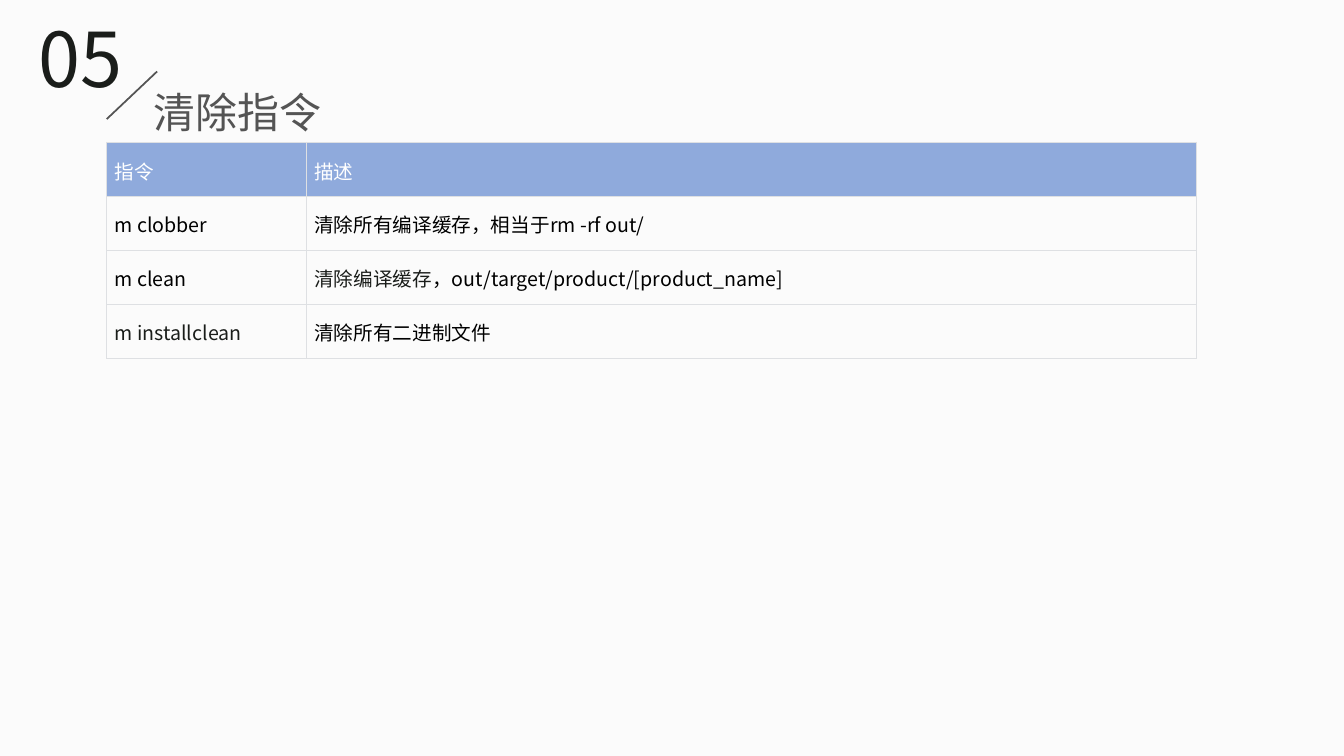
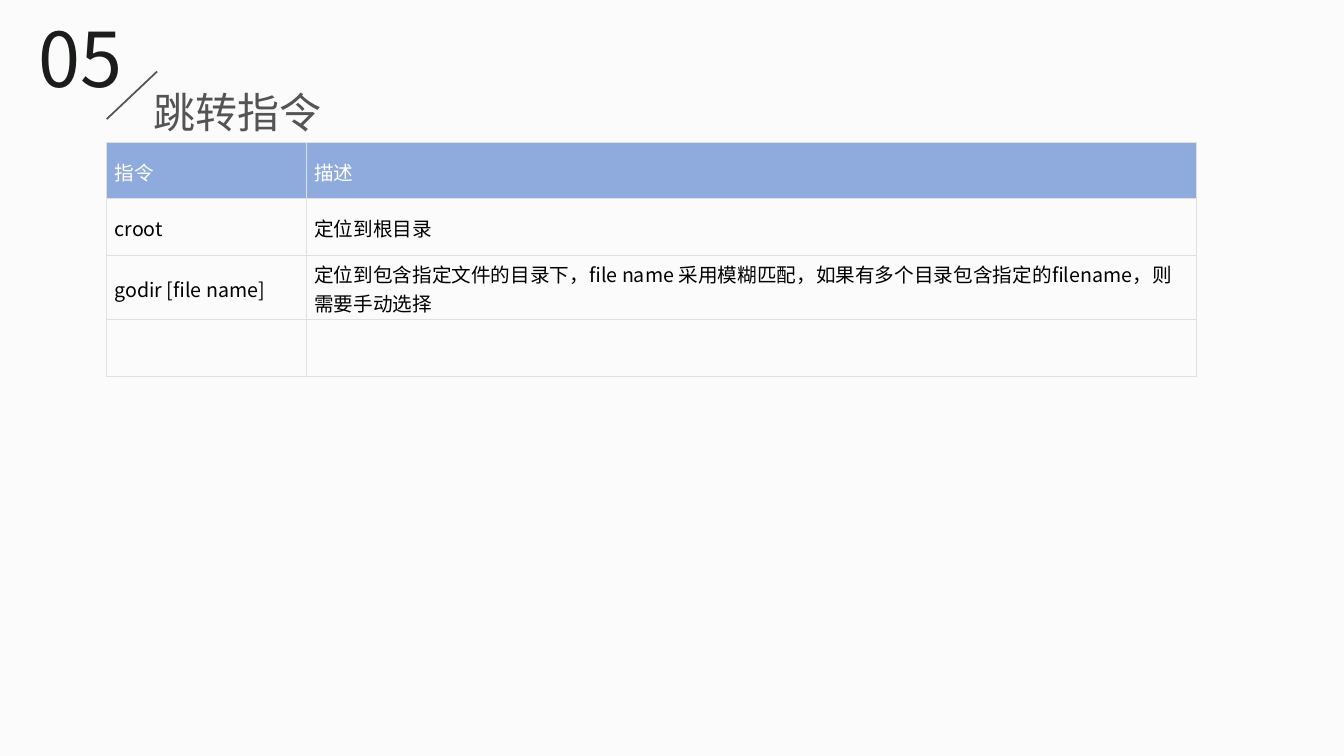
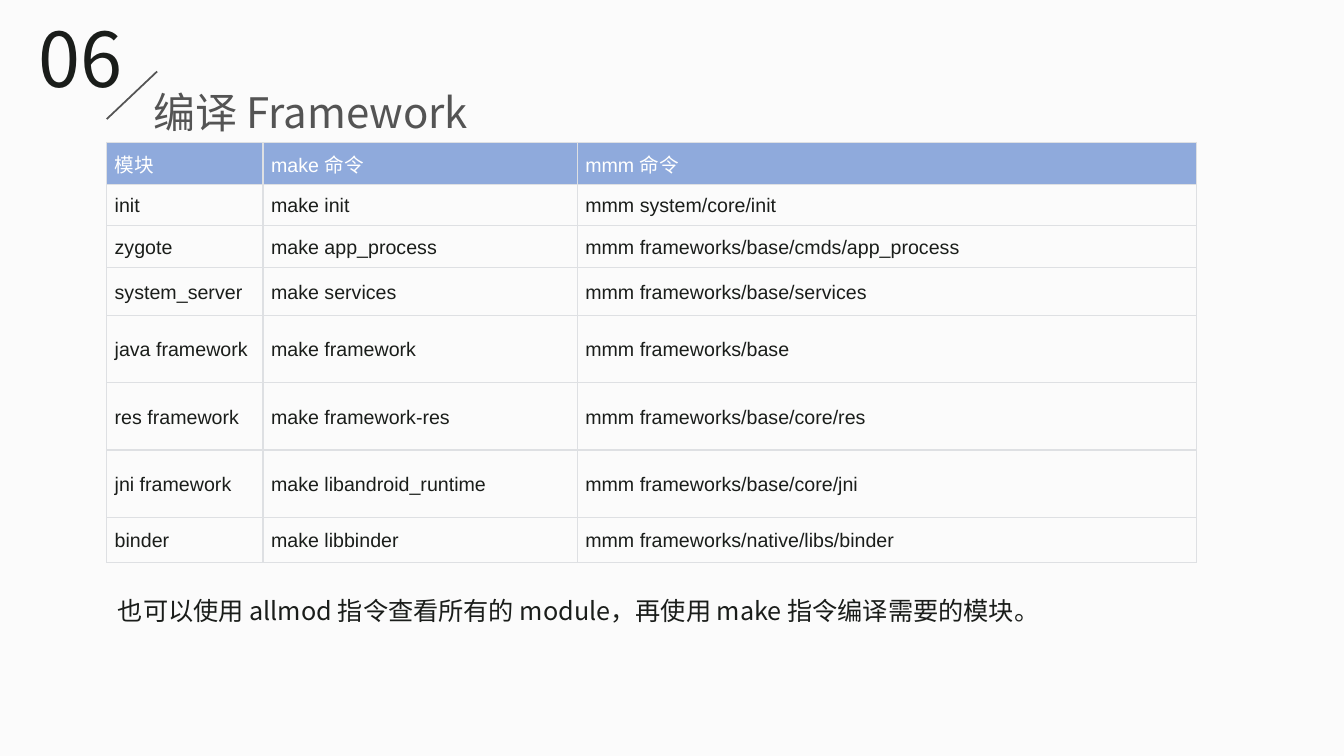
from dataclasses import dataclass
from typing import Any

from pptx import Presentation
from pptx import util as u
from pptx.dml.color import RGBColor
from pptx.enum import shapes, text
from pptx.oxml import ns, xmlchemy

COLORS = {
    "paper": "FBFBFB",
    "ink": "1A1D1A",
    "black": "000000",
    "white": "FFFFFF",
    "slate": "545454",
    "header": "8FAADC",
    "grid": "DEE0E3",
}
SANS = "Noto Sans CJK SC"
TABLE_LEFT, TABLE_TOP = 2.69, 3.59
BLANK_LAYOUT = 6
CELL_FORMAT = {
    "margin_left": u.Cm(0.2),
    "margin_right": u.Cm(0.2),
    "margin_top": u.Cm(0.1),
    "margin_bottom": u.Cm(0.05),
    "vertical_anchor": text.MSO_ANCHOR.MIDDLE,
}
TABLE_FORMAT = {"first_row": False, "horz_banding": False}


@dataclass(frozen=True)
class Span:
    words: str
    color: str


@dataclass(frozen=True)
class TextStyle:
    size: float
    color: str
    font: str = SANS


@dataclass(frozen=True)
class Box:
    left: float
    top: float
    width: float
    height: float

    def lengths(self) -> tuple[u.Length, ...]:
        return tuple(u.Cm(v) for v in (self.left, self.top, self.width, self.height))


@dataclass(frozen=True)
class CommandPage:
    number: str
    title: str
    columns: tuple[float, ...]
    row_heights: tuple[float, ...]
    rows: tuple[tuple[str | Span | tuple[Span, ...], ...], ...]
    body: TextStyle
    note: str = ""


NUMBER_STYLE = TextStyle(54, "ink")
TITLE_STYLE = TextStyle(30, "slate")
NOTE_STYLE = TextStyle(18, "ink")
NUMBER_BOX = Box(0.71, 0.18, 2.9, 2.57)
TITLE_BOX = Box(3.61, 1.8, 26.57, 1.8)
NOTE_BOX = Box(2.72, 14.73, 27.46, 1.98)
COMMAND_COLUMNS = (5.03, 22.43)

PAGES = (
    CommandPage(
        "05", "清除指令", COMMAND_COLUMNS, (1.36,) * 4,
        (
            ("指令", "描述"),
            ("m clobber", "清除所有编译缓存，相当于rm -rf out/"),
            ("m clean", (Span("清除编译缓存", "ink"),
                         Span("，out/target/product/[product_name]", "black"))),
            (Span("m installclean", "ink"), "清除所有二进制文件"),
        ),
        TextStyle(14, "black"),
    ),
    CommandPage(
        "05", "跳转指令", COMMAND_COLUMNS, (1.42, 1.42, 1.63, 1.42),
        (
            ("指令", "描述"),
            ("croot", "定位到根目录"),
            ("godir [file name]",
             "定位到包含指定文件的目录下，file name 采用模糊匹配，"
             "如果有多个目录包含指定的filename，则需要手动选择"),
            ("", ""),
        ),
        TextStyle(14, "black"),
    ),
    CommandPage(
        "06", "编译 Framework", (3.94, 7.92, 15.6),
        (1.05, 1.05, 1.05, 1.2, 1.7, 1.7, 1.7, 1.14),
        (
            ("模块", "make 命令", "mmm 命令"),
            ("init", "make init", "mmm system/core/init"),
            ("zygote", "make app_process", "mmm frameworks/base/cmds/app_process"),
            ("system_server", "make services", "mmm frameworks/base/services"),
            ("java framework", "make framework", "mmm frameworks/base"),
            ("res framework", "make framework-res", "mmm frameworks/base/core/res"),
            ("jni framework", "make libandroid_runtime", "mmm frameworks/base/core/jni"),
            ("binder", "make libbinder", "mmm frameworks/native/libs/binder"),
        ),
        TextStyle(14, "ink", "Arial"),
        "也可以使用 allmod 指令查看所有的 module，再使用 make 指令编译需要的模块。",
    ),
)


def rgb(name: str) -> RGBColor:
    return RGBColor.from_string(COLORS[name])


def apply_format(target: Any, values: dict[str, Any]) -> None:
    for attribute, value in values.items():
        setattr(target, attribute, value)


def add_child(parent: Any, tag: str, **attributes: str) -> Any:
    child = xmlchemy.OxmlElement(tag)
    for key, value in attributes.items():
        child.set(key, value)
    parent.append(child)
    return child


def write_span(paragraph: Any, span: Span, style: TextStyle) -> None:
    run = paragraph.add_run()
    run.text = span.words
    apply_format(run.font, {"size": u.Pt(style.size), "name": style.font})
    run.font.color.rgb = rgb(span.color)
    latin = run.font._element.find(ns.qn("a:latin"))
    east_asian = xmlchemy.OxmlElement("a:ea")
    east_asian.set("typeface", SANS)
    latin.addnext(east_asian)


def add_text(slide: Any, box: Box, words: str, style: TextStyle,
             frame_format: dict[str, Any], paragraph_format: dict[str, Any]) -> None:
    frame = slide.shapes.add_textbox(*box.lengths()).text_frame
    apply_format(frame, {"word_wrap": True, **frame_format})
    paragraph = frame.paragraphs[0]
    apply_format(paragraph, paragraph_format)
    write_span(paragraph, Span(words, style.color), style)


def add_heading(slide: Any, page: CommandPage) -> None:
    add_text(slide, NUMBER_BOX, page.number, NUMBER_STYLE,
             {"auto_size": text.MSO_AUTO_SIZE.SHAPE_TO_FIT_TEXT},
             {"alignment": text.PP_ALIGN.JUSTIFY})
    slash = slide.shapes.add_connector(
        shapes.MSO_CONNECTOR.STRAIGHT, u.Cm(3.96), u.Cm(1.8), u.Cm(2.69), u.Cm(3.0))
    slash.line.color.rgb = rgb("slate")
    slash.line.width = u.Pt(1.25)
    add_child(slash._element.spPr, "a:effectLst")
    add_text(slide, TITLE_BOX, page.title, TITLE_STYLE, {}, {"line_spacing": 1.2})


def add_borders(cell: Any) -> None:
    properties = cell._tc.get_or_add_tcPr()
    for position, side in enumerate(("a:lnL", "a:lnR", "a:lnT", "a:lnB")):
        border = xmlchemy.OxmlElement(side)
        border.set("w", str(u.Pt(1)))
        fill = add_child(border, "a:solidFill")
        add_child(fill, "a:srgbClr", val=COLORS["grid"])
        properties.insert(position, border)


def fill_cell(cell: Any, content: str | Span | tuple[Span, ...],
              style: TextStyle, is_header: bool) -> None:
    apply_format(cell, CELL_FORMAT)
    if is_header:
        cell.fill.solid()
        cell.fill.fore_color.rgb = rgb("header")
    else:
        cell.fill.background()
    add_borders(cell)
    if isinstance(content, str):
        content = Span(content, "white" if is_header else style.color)
    spans = (content,) if isinstance(content, Span) else content
    for span in spans:
        if span.words:
            write_span(cell.text_frame.paragraphs[0], span, style)


def add_commands(slide: Any, page: CommandPage) -> None:
    box = Box(TABLE_LEFT, TABLE_TOP, sum(page.columns), sum(page.row_heights))
    commands = slide.shapes.add_table(
        len(page.rows), len(page.columns), *box.lengths()).table
    apply_format(commands, TABLE_FORMAT)
    for column, width in zip(commands.columns, page.columns):
        column.width = u.Cm(width)
    for row, height in zip(commands.rows, page.row_heights):
        row.height = u.Cm(height)
    for r, contents in enumerate(page.rows):
        for c, content in enumerate(contents):
            fill_cell(commands.cell(r, c), content, page.body, r == 0)


def main() -> None:
    deck = Presentation()
    apply_format(deck, {"slide_width": u.Cm(33.87), "slide_height": u.Cm(19.05)})
    backdrop = deck.slide_master.background.fill
    backdrop.solid()
    backdrop.fore_color.rgb = rgb("paper")
    for page in PAGES:
        slide = deck.slides.add_slide(deck.slide_layouts[BLANK_LAYOUT])
        add_heading(slide, page)
        add_commands(slide, page)
        if page.note:
            add_text(slide, NOTE_BOX, page.note, NOTE_STYLE, {}, {"line_spacing": 1.2})
    deck.save("out.pptx")


if __name__ == "__main__":
    main()
